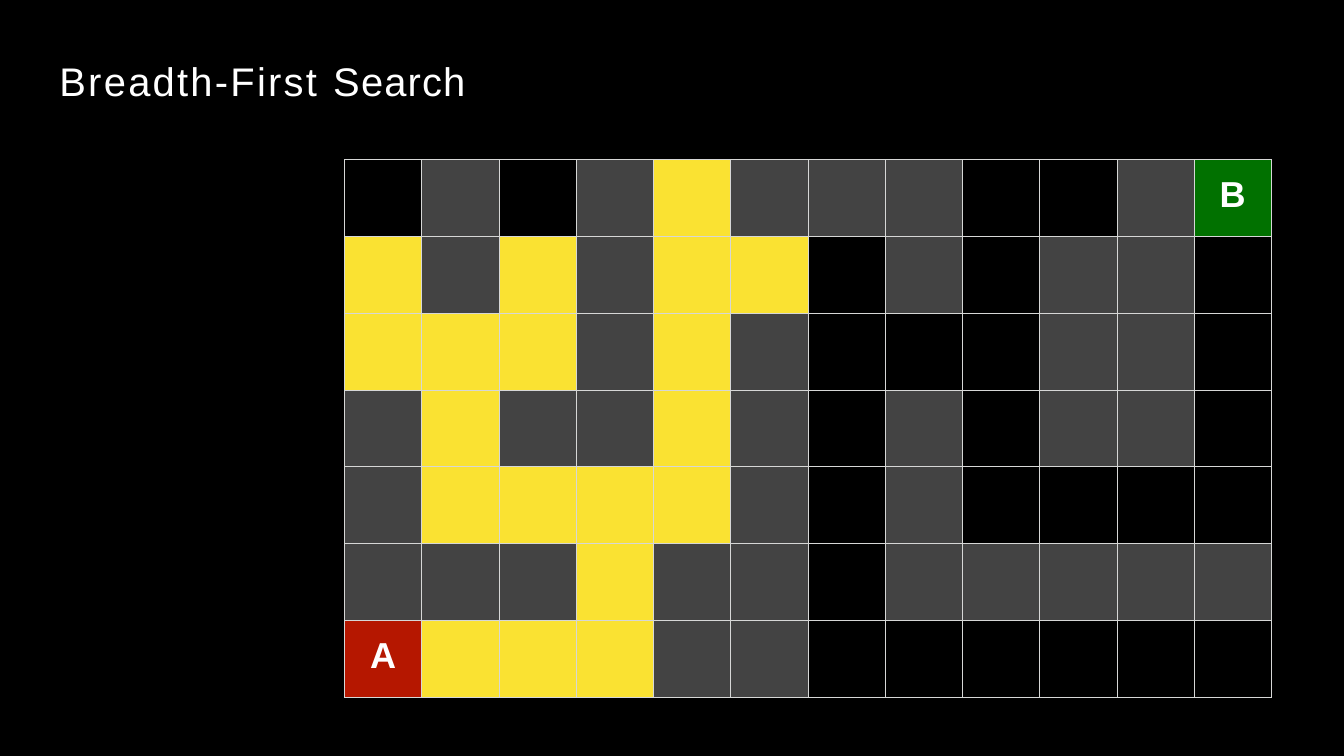
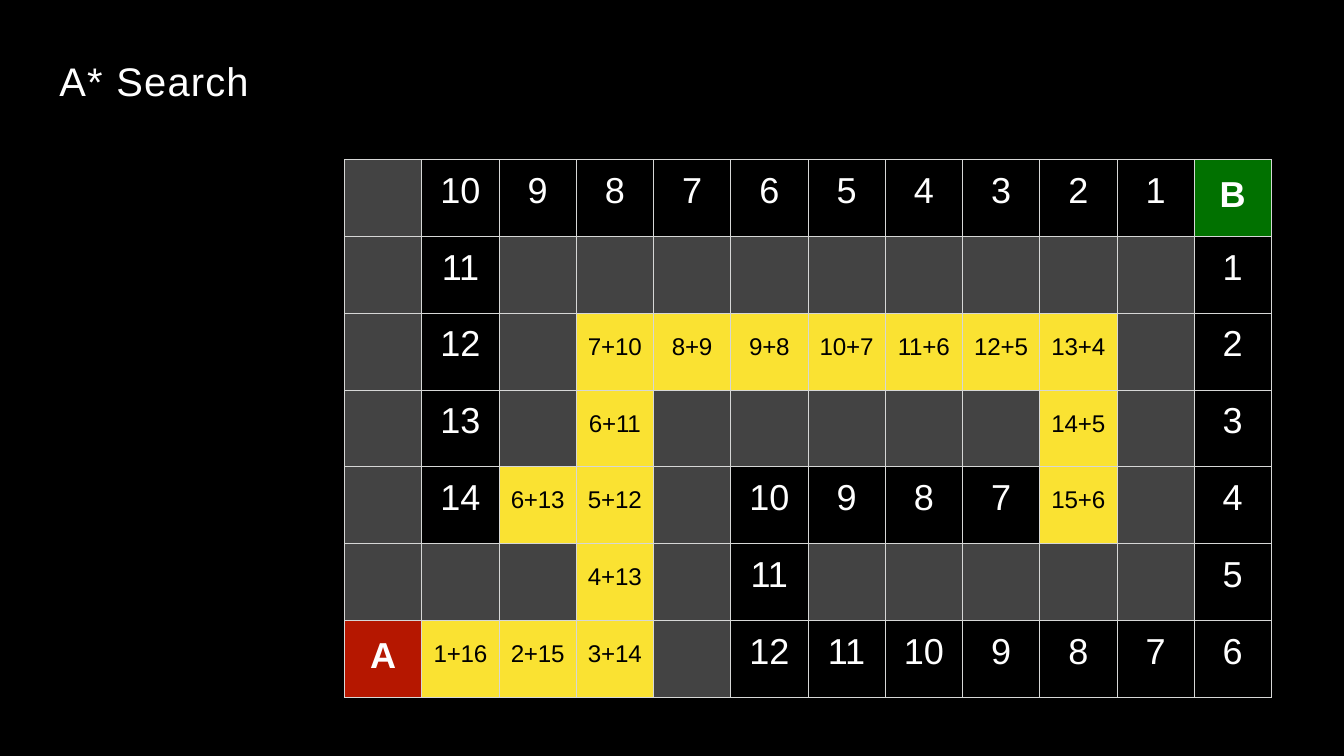
from dataclasses import dataclass

from lxml.etree import SubElement
from pptx import Presentation
from pptx.dml.color import RGBColor
from pptx.enum.text import PP_ALIGN
from pptx.oxml.ns import qn
from pptx.slide import Slide
from pptx.table import _Cell
from pptx.text.text import Font, _Paragraph
from pptx.util import Pt

FONT = "Arial"
BLACK, WHITE, BORDER = "000000", "FFFFFF", "D6D7D6"
COLUMN_WIDTH, ROW_HEIGHT = 91, 90.5
MAZE_LEFT, MAZE_TOP = 406, 188


@dataclass(frozen=True)
class CellStyle:
    fill: str
    color: str = WHITE
    size: float = 42.5
    bold: bool = False
    top: float = 13
    spacing: float = -0.1


@dataclass(frozen=True)
class TitlePart:
    text: str
    spacing: float


@dataclass(frozen=True)
class MazePage:
    title: tuple[TitlePart, ...]
    title_width: float
    maze: str


OPEN = CellStyle(BLACK)
WALL = CellStyle("434343")
EXPLORED = CellStyle("FAE232", BLACK, size=28.5, top=23.8, spacing=-0.2)
START = CellStyle("B51700", bold=True, top=18, spacing=0)
GOAL = CellStyle("017100", bold=True, top=18.5, spacing=0)

# "." open, "#" wall, "o" explored; anything else is shown in its cell.
STYLES = {".": OPEN, "#": WALL, "o": EXPLORED, "A": START, "B": GOAL}
UNLABELLED = {".", "#", "o"}

PAGES = (
    MazePage(
        (TitlePart("Breadth-First ", 2.7), TitlePart("Search", 1.4)),
        481,
        """
        . # . # o # # # . . # B
        o # o # o o . # . # # .
        o o o # o # . . . # # .
        # o # # o # . # . # # .
        # o o o o # . # . . . .
        # # # o # # . # # # # #
        A o o o # # . . . . . .
        """,
    ),
    MazePage(
        (TitlePart("A* ", 1.5), TitlePart("Search", 1.4)),
        227,
        """
        # 10   9    8    7   6   5    4    3    2    1 B
        # 11   #    #    #   #   #    #    #    #    # 1
        # 12   #    7+10 8+9 9+8 10+7 11+6 12+5 13+4 # 2
        # 13   #    6+11 #   #   #    #    #    14+5 # 3
        # 14   6+13 5+12 #   10  9    8    7    15+6 # 4
        # #    #    4+13 #   11  #    #    #    #    # 5
        A 1+16 2+15 3+14 #   12  11   10   9    8    7 6
        """,
    ),
)


def rgb(color: str) -> RGBColor:
    return RGBColor.from_string(color)


def style_font(font: Font, size: float, color: str, bold: bool = False) -> None:
    font.name = FONT
    font.size = Pt(size)
    font.bold = bold
    font.color.rgb = rgb(color)


def add_span(para: _Paragraph, text: str, spacing: float) -> None:
    """Add a run with letter spacing in points."""
    span = para.add_run()
    span.text = text
    span.font._element.set("spc", str(round(spacing * 100)))


def add_borders(cell: _Cell) -> None:
    properties = cell._tc.get_or_add_tcPr()
    for index, side in enumerate(("a:lnL", "a:lnR", "a:lnT", "a:lnB")):
        line = SubElement(properties, qn(side), w=str(Pt(1)))
        fill = SubElement(line, qn("a:solidFill"))
        SubElement(fill, qn("a:srgbClr"), val=BORDER)
        properties.insert(index, line)


def fill_cell(cell: _Cell, token: str) -> None:
    style = STYLES.get(token, EXPLORED if "+" in token else OPEN)
    cell.fill.solid()
    cell.fill.fore_color.rgb = rgb(style.fill)
    add_borders(cell)
    cell.margin_left = cell.margin_right = cell.margin_bottom = 0
    cell.margin_top = Pt(style.top)
    if token not in UNLABELLED:
        para = cell.text_frame.paragraphs[0]
        para.alignment = PP_ALIGN.CENTER
        style_font(para.font, style.size, style.color, style.bold)
        add_span(para, token, style.spacing)


def add_title(page: Slide, parts: tuple[TitlePart, ...], width: float) -> None:
    box = page.shapes.add_textbox(Pt(69), Pt(62), Pt(width), Pt(59))
    frame = box.text_frame
    frame.word_wrap = True
    frame.margin_left = Pt(1)
    frame.margin_right = frame.margin_bottom = 0
    frame.margin_top = Pt(5)
    para = frame.paragraphs[0]
    style_font(para.font, 47, WHITE)
    for part in parts:
        add_span(para, part.text, part.spacing)


def add_maze(page: Slide, maze: str) -> None:
    rows = [line.split() for line in maze.strip().splitlines()]
    row_count, column_count = len(rows), len(rows[0])
    table = page.shapes.add_table(
        row_count, column_count, Pt(MAZE_LEFT), Pt(MAZE_TOP),
        Pt(column_count * COLUMN_WIDTH), Pt(row_count * ROW_HEIGHT),
    ).table
    table.first_row = table.horz_banding = False
    for column in table.columns:
        column.width = Pt(COLUMN_WIDTH)
    for row, tokens in zip(table.rows, rows):
        row.height = Pt(ROW_HEIGHT)
        for cell, token in zip(row.cells, tokens):
            fill_cell(cell, token)


def main() -> None:
    deck = Presentation()
    deck.slide_width, deck.slide_height = Pt(1583.5), Pt(890.5)
    background = deck.slide_master.background.fill
    background.solid()
    background.fore_color.rgb = rgb(BLACK)
    for maze_page in PAGES:
        page = deck.slides.add_slide(deck.slide_layouts[6])
        add_maze(page, maze_page.maze)
        add_title(page, maze_page.title, maze_page.title_width)
    deck.save("out.pptx")


if __name__ == "__main__":
    main()
